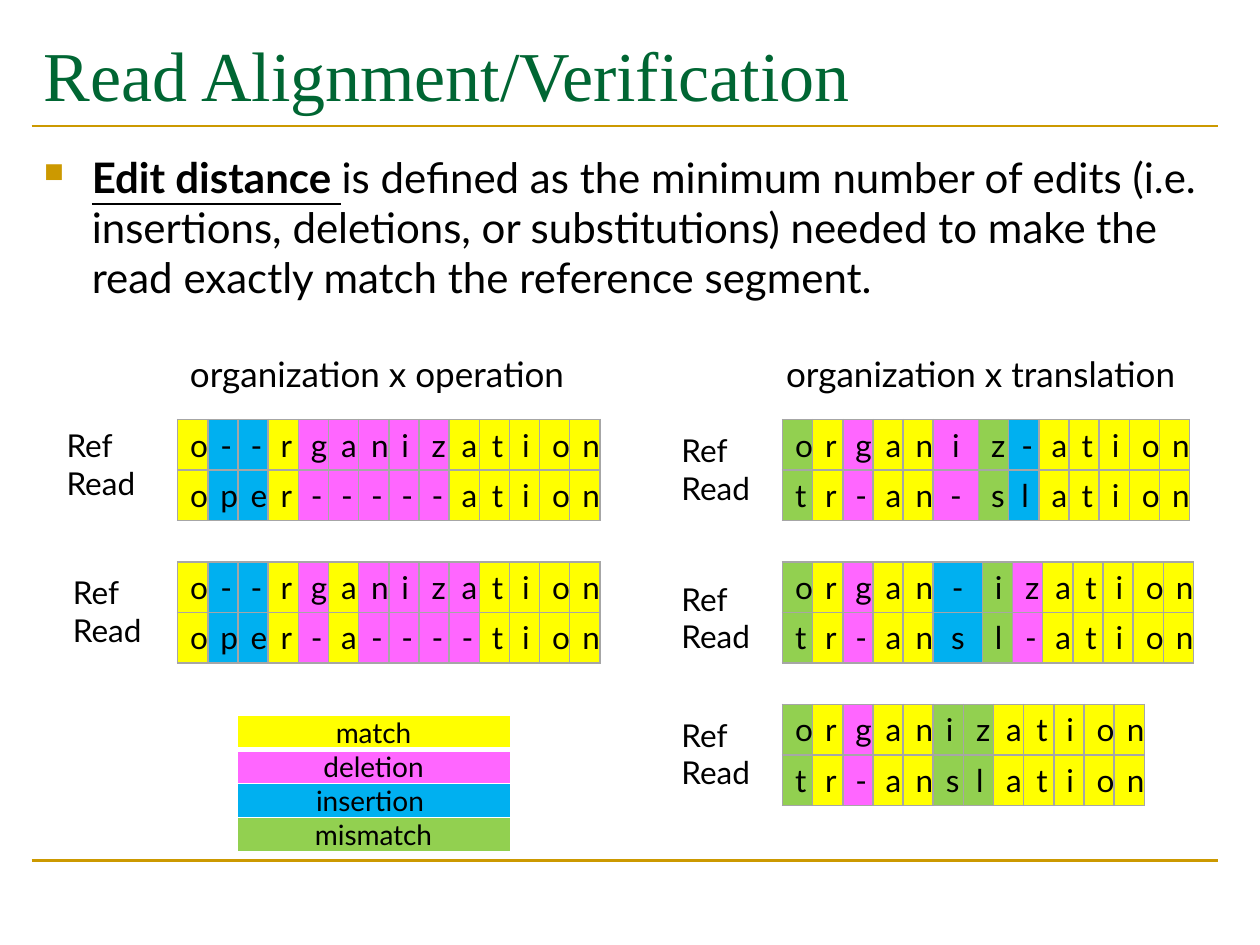
import pptx
import pptx.util
import pptx.dml.color
import pptx.enum.shapes
import pptx.enum.text
import pptx.oxml
import pptx.oxml.ns
import lxml.etree

Inches = pptx.util.Inches
Pt = pptx.util.Pt

BLACK = "000000"
GOLD = "CC9900"
MATCH = "FFFF00"
DELETION = "FF66FF"
INSERTION = "00B0F0"
MISMATCH = "92D050"
LETTER_WIDTH = 0.23
ROW_HEIGHT = 0.4


def color(hex_value):
    return pptx.dml.color.RGBColor.from_string(hex_value)


def set_font(paragraph, size, name="Lato", hex_value=BLACK):
    paragraph.font.size = Pt(size)
    paragraph.font.name = name
    paragraph.font.color.rgb = color(hex_value)


def add_rule(slide, y):
    rule = slide.shapes.add_connector(
        pptx.enum.shapes.MSO_CONNECTOR.STRAIGHT,
        Inches(0.25), Inches(y), Inches(9.67), Inches(y))
    rule.line.color.rgb = color(GOLD)
    rule.line.width = Pt(1.5)
    lxml.etree.SubElement(rule._element.spPr, pptx.oxml.ns.qn("a:effectLst"))


def add_text(slide, left, top, width, height, lines, size, name="Lato", hex_value=BLACK):
    frame = slide.shapes.add_textbox(
        Inches(left), Inches(top), Inches(width), Inches(height)).text_frame
    frame.word_wrap = True
    frame.text = "\n".join(lines)
    for paragraph in frame.paragraphs:
        set_font(paragraph, size, name, hex_value)
    return frame


def add_definition(slide):
    frame = add_text(slide, 0.25, 1.15, 9.42, 5.68, [], 24)
    definition = frame.paragraphs[0]
    properties = definition._p.get_or_add_pPr()
    properties.set("marL", str(Inches(0.38)))
    properties.set("indent", str(Inches(-0.38)))
    namespace = pptx.oxml.ns.nsdecls("a")
    bullet = (
        f'<a:buClr {namespace}><a:srgbClr val="{GOLD}"/></a:buClr>',
        f'<a:buSzPct {namespace} val="65000"/>',
        f'<a:buChar {namespace} char="■"/>',
    )
    for position, part in enumerate(bullet):
        properties.insert(position, pptx.oxml.parse_xml(part))
    term = definition.add_run()
    term.text = "Edit distance "
    term.font.bold = True
    term.font.underline = True
    meaning = definition.add_run()
    meaning.text = (
        "is defined as the minimum number of edits (i.e. insertions, deletions, or "
        "substitutions) needed to make the read exactly match the reference segment.")


def set_borders(cell, hex_value, bottom=1):
    properties = cell._tc.get_or_add_tcPr()
    for side, width in (("L", 1), ("R", 1), ("T", 1), ("B", bottom)):
        properties.append(pptx.oxml.parse_xml(
            f'<a:ln{side} {pptx.oxml.ns.nsdecls("a")} w="{Pt(width)}">'
            f'<a:solidFill><a:srgbClr val="{hex_value}"/></a:solidFill></a:ln{side}>'))


def fill_cell(cell, text, size, fill, border, bottom=1):
    set_borders(cell, border, bottom)
    cell.fill.solid()
    cell.fill.fore_color.rgb = color(fill)
    cell.text = text
    paragraph = cell.text_frame.paragraphs[0]
    paragraph.alignment = pptx.enum.text.PP_ALIGN.CENTER
    set_font(paragraph, size)


def add_grid(slide, left, top, widths, row_count, row_height):
    grid = slide.shapes.add_table(
        row_count, len(widths), Inches(left), Inches(top),
        Inches(sum(widths)), Inches(row_count * row_height)).table
    grid.first_row = False
    grid.horz_banding = False
    for column, width in zip(grid.columns, widths):
        column.width = Inches(width)
    for row in grid.rows:
        row.height = Inches(row_height)
    return grid


def edit_color(ref_letter, read_letter):
    if ref_letter == read_letter:
        return MATCH
    if ref_letter == "-":
        return INSERTION
    if read_letter == "-":
        return DELETION
    return MISMATCH


def add_alignment(slide, left, top, ref, read, wide_columns):
    widths = [wide_columns.get(index, LETTER_WIDTH) for index in range(len(ref))]
    grid = add_grid(slide, left, top, widths, 2, ROW_HEIGHT)
    for index, pair in enumerate(zip(ref, read)):
        for row, letter in enumerate(pair):
            cell = grid.cell(row, index)
            fill_cell(cell, letter, 18, edit_color(*pair), "A6A6A6")
            cell.vertical_anchor = pptx.enum.text.MSO_ANCHOR.MIDDLE


def add_legend(slide):
    entries = (("match", MATCH), ("deletion", DELETION),
               ("insertion ", INSERTION), ("mismatch", MISMATCH))
    legend = add_grid(slide, 1.88, 5.68, [2.17], len(entries), 0.27)
    for row, (label, fill) in enumerate(entries):
        cell = legend.cell(row, 0)
        cell.margin_left = cell.margin_right = cell.margin_top = cell.margin_bottom = 0
        fill_cell(cell, label, 16, fill, "FFFFFF", bottom=3 if row == 0 else 1)


def main():
    deck = pptx.Presentation()
    deck.slide_width = Inches(10)
    deck.slide_height = Inches(7.5)
    slide = deck.slides.add_slide(deck.slide_layouts[6])

    add_rule(slide, 6.83)
    add_rule(slide, 1)
    title = add_text(slide, 0.25, 0.17, 9.42, 0.83, ["Read Alignment/Verification"],
                     40, "Times New Roman", "006633")
    title.vertical_anchor = pptx.enum.text.MSO_ANCHOR.MIDDLE
    add_definition(slide)

    alignments = (
        (1.41, 3.33, "o--rganization", "oper-----ation", {}, 0.43, 3.33),
        (1.41, 4.46, "o--rganization", "oper-a----tion", {}, 0.48, 4.5),
        (6.21, 3.33, "organiz-ation", "tr-an-slation", {5: 0.36}, 5.31, 3.37),
        (6.21, 4.46, "organ-ization", "tr-ansl-ation", {5: 0.39}, 5.31, 4.55),
        (6.21, 5.59, "organization", "tr-anslation", {}, 5.31, 5.63),
    )
    for left, top, ref, read, wide_columns, label_left, label_top in alignments:
        add_alignment(slide, left, top, ref, read, wide_columns)
        add_text(slide, label_left, label_top, 0.83, 0.71, ["Ref", "Read"], 18)

    add_text(slide, 1.41, 2.75, 3.47, 0.44, ["organization x operation"], 20)
    add_text(slide, 6.14, 2.75, 3.41, 0.44, ["organization x translation"], 20)
    add_legend(slide)
    deck.save("out.pptx")


if __name__ == "__main__":
    main()
